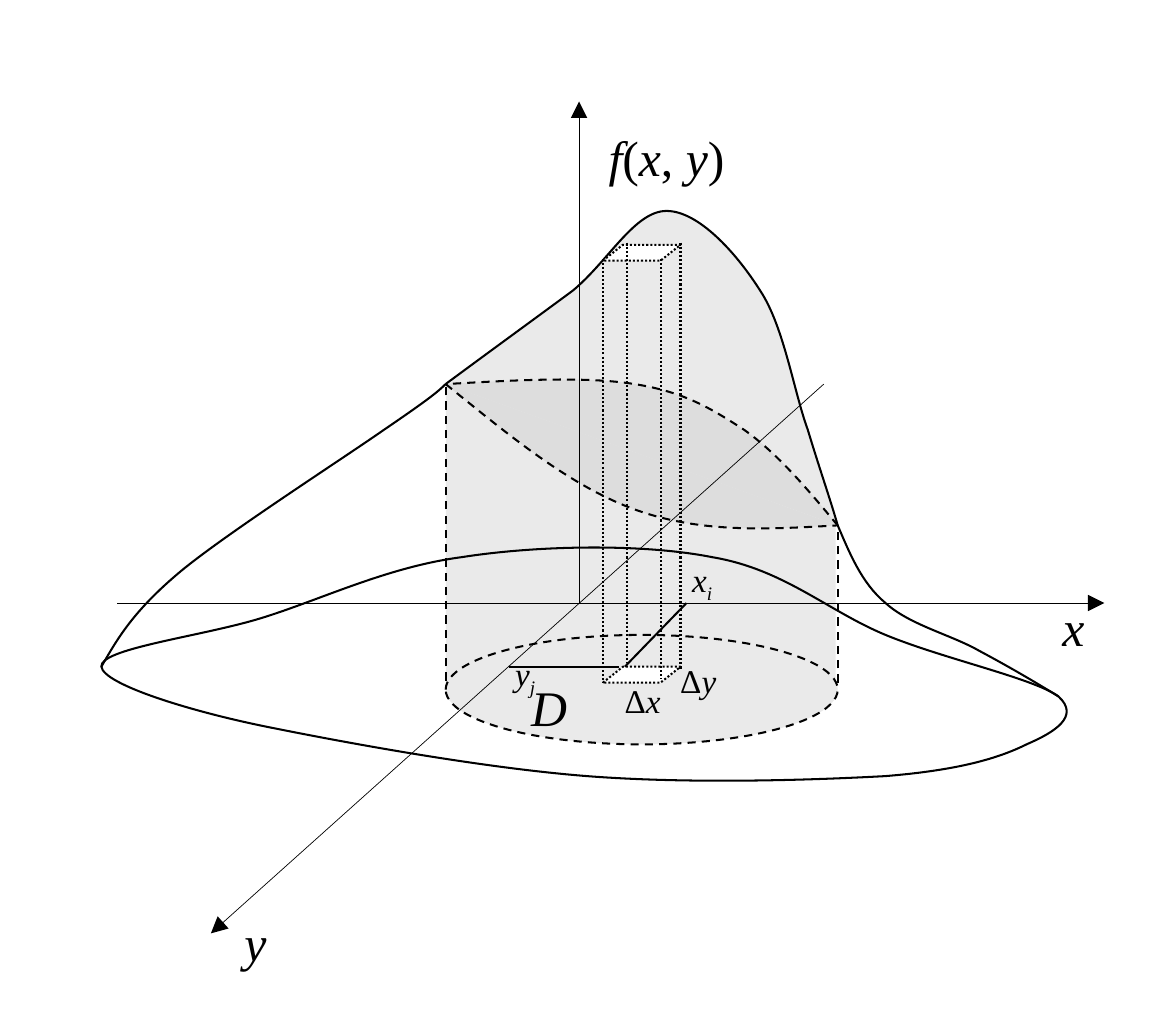
from lxml import etree
from pptx import Presentation
from pptx import util as u
from pptx.dml.color import RGBColor
from pptx.enum import dml, shapes, text
from pptx.oxml import ns

BLACK = RGBColor(0x00, 0x00, 0x00)
WHITE = RGBColor(0xFF, 0xFF, 0xFF)
LIGHT = RGBColor(0xEA, 0xEA, 0xEA)
MID = RGBColor(0xDD, 0xDD, 0xDD)
DASH = dml.MSO_LINE.DASH
DOT = dml.MSO_LINE.ROUND_DOT
SHAPE = shapes.MSO_SHAPE


class Diagram:
    """Holds the line and text style together with the current slide."""

    font_name = "Times New Roman"
    line_width = 0.75

    def __init__(self, slide):
        self.slide = slide

    def style_line(self, line, dash=None, width=line_width):
        line.color.rgb = BLACK
        for name, value in {"width": u.Pt(width), "dash_style": dash}.items():
            setattr(line, name, value)

    def style_shape(self, shape, fill, outlined=True, dash=None):
        shape.shadow.inherit = False
        if fill is None:
            shape.fill.background()
        else:
            shape.fill.solid()
            shape.fill.fore_color.rgb = fill
        if outlined:
            self.style_line(shape.line, dash)
        else:
            shape.line.fill.background()

    def preset(self, kind, box, fill, outlined=True, dash=None, adjust=None):
        shape = self.slide.shapes.add_shape(kind, *map(u.Inches, box))
        if adjust is not None:
            shape.adjustments[0] = adjust
        self.style_shape(shape, fill, outlined, dash)

    def line(self, start, end, dash=None, width=line_width, arrow=False):
        connector = self.slide.shapes.add_connector(
            shapes.MSO_CONNECTOR.STRAIGHT, *map(u.Inches, start + end))
        self.style_line(connector.line, dash, width)
        properties = connector._element.spPr
        if arrow:
            outline = properties.find(ns.qn("a:ln"))
            etree.SubElement(outline, ns.qn("a:tailEnd"), type="triangle")
        etree.SubElement(properties, ns.qn("a:effectLst"))

    def curve(self, start, points, fill=None, dash=None, close=False):
        """Bezier outline; points come in threes: two controls and an end."""
        builder = self.slide.shapes.build_freeform(*map(u.Inches, start))
        builder.add_line_segments([tuple(map(u.Inches, p)) for p in points], close)
        shape = builder.convert_to_shape()
        segments = list(shape._element.iter(ns.qn("a:lnTo")))
        for first in range(0, len(segments), 3):
            bezier = etree.Element(ns.qn("a:cubicBezTo"))
            segments[first].addprevious(bezier)
            for segment in segments[first:first + 3]:
                bezier.append(segment[0])
                segment.getparent().remove(segment)
        self.style_shape(shape, fill, dash=dash)

    def label(self, box, size, runs, anchor=text.MSO_ANCHOR.TOP):
        """Runs are (text, kind): i is italic, r is upright, s is subscript."""
        frame = self.slide.shapes.add_textbox(*map(u.Inches, box)).text_frame
        settings = {"word_wrap": False, "vertical_anchor": anchor,
                    "auto_size": text.MSO_AUTO_SIZE.SHAPE_TO_FIT_TEXT}
        for name, value in settings.items():
            setattr(frame, name, value)
        for words, kind in runs:
            run = frame.paragraphs[0].add_run()
            run.text = words
            font = {"name": self.font_name, "size": u.Pt(size), "italic": kind != "r"}
            for name, value in font.items():
                setattr(run.font, name, value)
            run.font.color.rgb = BLACK
            if kind == "s":
                run._r.get_or_add_rPr().set("baseline", "-25000")

    def small_label(self, box, runs):
        self.label(box, 12, runs, text.MSO_ANCHOR.MIDDLE)


def main():
    presentation = Presentation()
    presentation.slide_width = u.Inches(5.91)
    presentation.slide_height = u.Inches(5.12)
    slide = presentation.slides.add_slide(presentation.slide_layouts[6])
    diagram = Diagram(slide)
    left, right = (2.24, 1.93), (4.21, 2.64)

    # Solid under the surface
    diagram.preset(SHAPE.RECTANGLE, (2.24, 1.93, 1.65, 1.57), LIGHT, outlined=False)
    diagram.preset(SHAPE.RECTANGLE, (3.89, 2.64, 0.31, 0.79), LIGHT, outlined=False)
    diagram.curve(left, [
        (2.47, 1.76), (2.69, 1.6), (2.88, 1.46),
        (3.06, 1.31), (3.19, 1.06), (3.35, 1.06),
        (3.51, 1.06), (3.7, 1.27), (3.82, 1.46),
        (3.94, 1.64), (3.99, 1.97), (4.06, 2.16),
        (4.12, 2.36), (4.17, 2.5), right], LIGHT)
    diagram.line((2.24, 3.42), left, DASH)
    diagram.curve(right, [
        (4.06, 2.46), (3.91, 2.28), (3.74, 2.16),
        (3.57, 2.05), (3.44, 1.97), (3.19, 1.93),
        (2.94, 1.89), (2.59, 1.91), left], MID, DASH)
    diagram.line((4.21, 3.43), right, DASH)
    diagram.curve(left, [
        (2.55, 2.18), (2.86, 2.44), (3.19, 2.56),
        (3.52, 2.68), (3.86, 2.66), right], MID, DASH)
    diagram.preset(SHAPE.OVAL, (2.24, 3.19, 1.97, 0.55), LIGHT, dash=DASH)

    # Axes
    for start, end in [((0.59, 3.03), (5.55, 3.03)),
                       ((4.14, 1.93), (1.06, 4.69)),
                       ((2.91, 3.03), (2.91, 0.51))]:
        diagram.line(start, end, width=0.25, arrow=True)

    # Column over one cell of the grid
    for top in (3.35, 1.23):
        diagram.preset(SHAPE.PARALLELOGRAM, (3.03, top, 0.39, 0.08), WHITE,
                       dash=DOT, adjust=1.26)
    for x, top, bottom in [(3.03, 1.3, 3.43), (3.15, 1.22, 3.33),
                           (3.42, 1.22, 3.36), (3.32, 1.3, 3.41)]:
        diagram.line((x, top), (x, bottom), DOT)

    # Axis, function and cell labels
    diagram.label((1.13, 4.53, 0.31, 0.4), 18, [("y", "i")])
    diagram.label((5.24, 2.95, 0.31, 0.4), 18, [("x", "i")])
    diagram.label((2.96, 0.59, 0.78, 0.4), 18, [
        ("f", "i"), ("(", "r"), ("x", "i"), (", ", "r"), ("y", "i"), (")", "r")])
    diagram.small_label((3.04, 3.37, 0.38, 0.3), [("Δ", "r"), ("x", "i")])
    diagram.small_label((3.32, 3.27, 0.38, 0.3), [("Δ", "r"), ("y", "i")])
    diagram.label((2.57, 3.35, 0.38, 0.4), 18, [("D", "i")])

    # Surface rim and flanks
    diagram.curve((0.51, 3.35), [
        (0.5, 3.26), (1, 3.2), (1.3, 3.11),
        (1.6, 3.02), (1.94, 2.85), (2.32, 2.8),
        (2.7, 2.74), (3.23, 2.73), (3.58, 2.8),
        (3.94, 2.86), (4.16, 3.07), (4.45, 3.19),
        (4.74, 3.31), (5.2, 3.41), (5.32, 3.5),
        (5.43, 3.6), (5.3, 3.68), (5.16, 3.74),
        (5.02, 3.81), (4.82, 3.87), (4.45, 3.9),
        (4.08, 3.92), (3.47, 3.94), (2.95, 3.9),
        (2.44, 3.86), (1.78, 3.74), (1.38, 3.66),
        (0.97, 3.58), (0.52, 3.44), (0.51, 3.35)], close=True)
    diagram.curve(left, [
        (2.2, 1.97), (2.15, 2.01), (1.93, 2.16),
        (1.7, 2.32), (1.14, 2.68), (0.91, 2.87),
        (0.67, 3.07), (0.59, 3.21), (0.51, 3.35)])
    diagram.curve(right, [
        (4.27, 2.78), (4.33, 2.93), (4.45, 3.03),
        (4.57, 3.14), (4.78, 3.19), (4.92, 3.27),
        (5.07, 3.35), (5.19, 3.42), (5.32, 3.5)])

    # Coordinates of the cell
    diagram.small_label((3.38, 2.76, 0.3, 0.33), [("x", "i"), ("i", "s")])
    diagram.small_label((2.49, 3.23, 0.3, 0.33), [("y", "i"), ("j", "s")])
    diagram.line((3.11, 3.35), (2.56, 3.35))
    diagram.line((3.14, 3.35), (3.45, 3.03))

    presentation.save("out.pptx")


if __name__ == "__main__":
    main()
